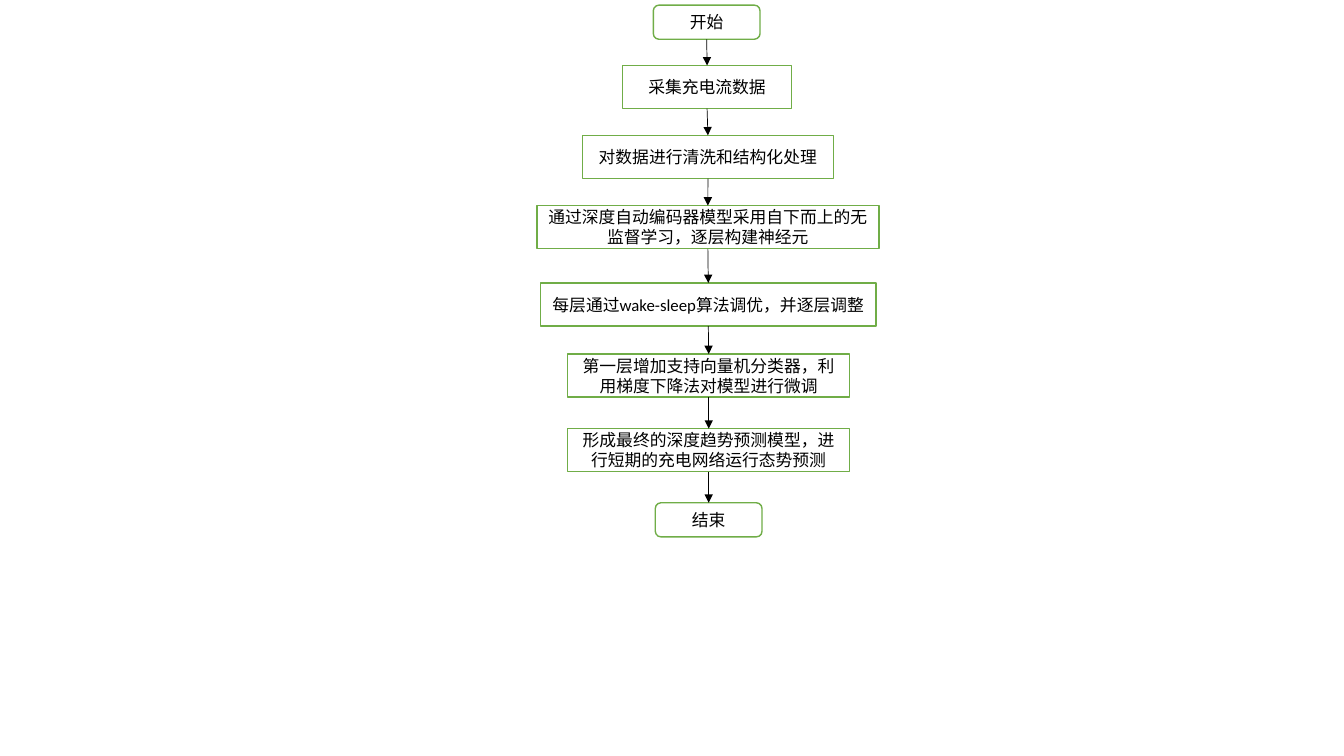
from itertools import pairwise

from lxml import etree
from pptx import Presentation
from pptx import util as u
from pptx.dml.color import RGBColor
from pptx.enum import shapes, text
from pptx.oxml.ns import qn


def paint(color_format, color):
    color_format.rgb = RGBColor.from_string(color)


deck = Presentation()
deck.slide_width, deck.slide_height = u.Cm(33.87), u.Cm(19.05)
slide = deck.slides.add_slide(deck.slide_layouts[6])

ROUNDED = shapes.MSO_SHAPE.ROUNDED_RECTANGLE
BOX = shapes.MSO_SHAPE.RECTANGLE
heights = {ROUNDED: 0.86, BOX: 1.09}
steps = [
    (ROUNDED, 17.81, 0.13, 2.69, "开始"),
    (BOX, 17.82, 1.65, 4.27, "采集充电流数据"),
    (BOX, 17.84, 3.41, 6.33, "对数据进行清洗和结构化处理"),
    (BOX, 17.84, 5.18, 8.62, "通过深度自动编码器模型采用自下而上的无监督学习,逐层构建神经元".replace(",", ",")),
    (BOX, 17.85, 7.13, 8.46, "每层通过wake-sleep算法调优,并逐层调整"),
    (BOX, 17.86, 8.92, 7.11, "第一层增加支持向量机分类器,利用梯度下降法对模型进行微调"),
    (BOX, 17.86, 10.8, 7.11, "形成最终的深度趋势预测模型,进行短期的充电网络运行态势预测"),
    (ROUNDED, 17.86, 12.67, 2.69, "结束"),
]
font_format = {"name": "Calibri", "size": u.Pt(12)}
frame_format = {"word_wrap": True, "vertical_anchor": text.MSO_ANCHOR.MIDDLE}

flow = []
for outline, center, top, width, wording in steps:
    step = slide.shapes.add_shape(
        outline, u.Cm(center - width / 2), u.Cm(top), u.Cm(width), u.Cm(heights[outline])
    )
    step.shadow.inherit = False
    step.fill.solid()
    paint(step.fill.fore_color, "FFFFFF")
    paint(step.line.color, "70AD47")
    step.line.width = u.Pt(1)
    frame = step.text_frame
    for key, value in frame_format.items():
        setattr(frame, key, value)
    paragraph = frame.paragraphs[0]
    paragraph.alignment = text.PP_ALIGN.CENTER
    label = paragraph.add_run()
    label.text = wording.replace(",", "\uff0c")
    for key, value in font_format.items():
        setattr(label.font, key, value)
    paint(label.font.color, "000000")
    flow.append(step)

for earlier, later in pairwise(flow):
    arrow = slide.shapes.add_connector(shapes.MSO_CONNECTOR.STRAIGHT, 0, 0, 0, 0)
    arrow.begin_connect(earlier, 2)
    arrow.end_connect(later, 0)
    paint(arrow.line.color, "000000")
    arrow.line.width = u.Pt(0.5)
    etree.SubElement(arrow.line._get_or_add_ln(), qn("a:tailEnd"), type="triangle")
    etree.SubElement(arrow._element.spPr, qn("a:effectLst"))

deck.save("out.pptx")
